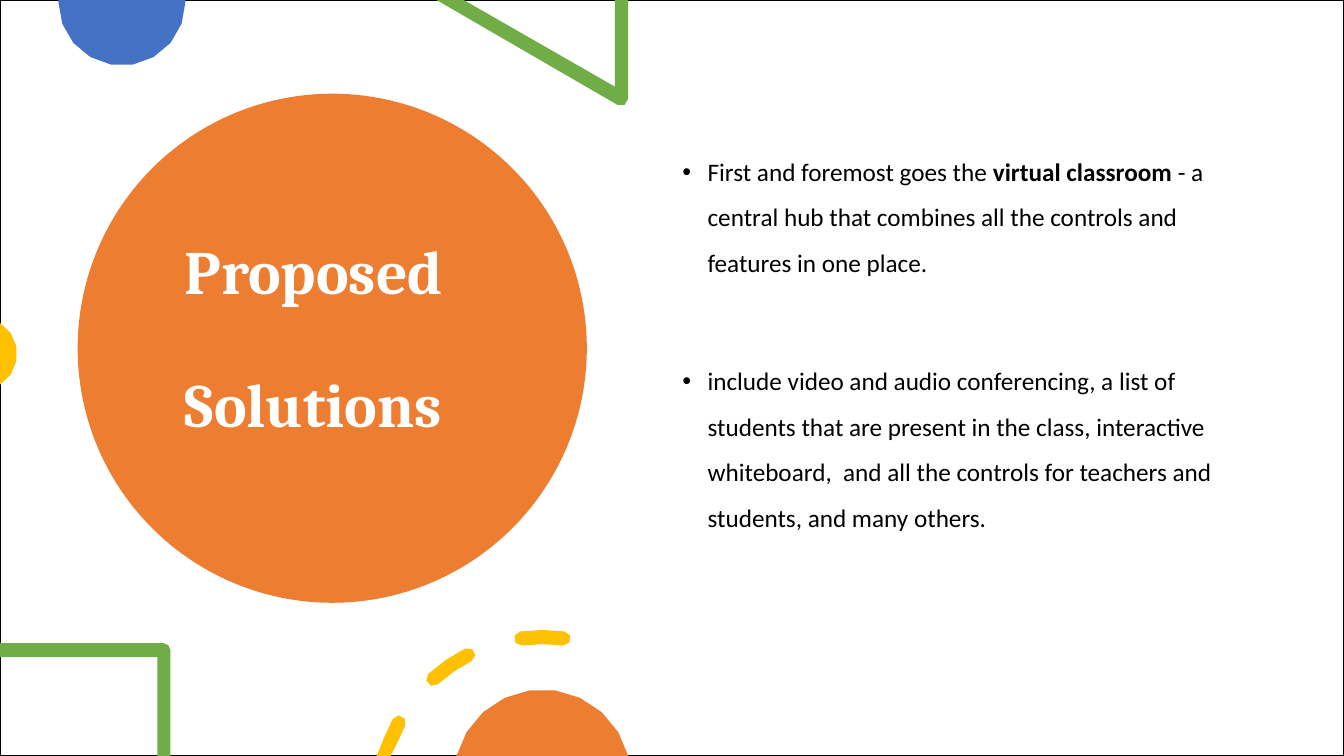
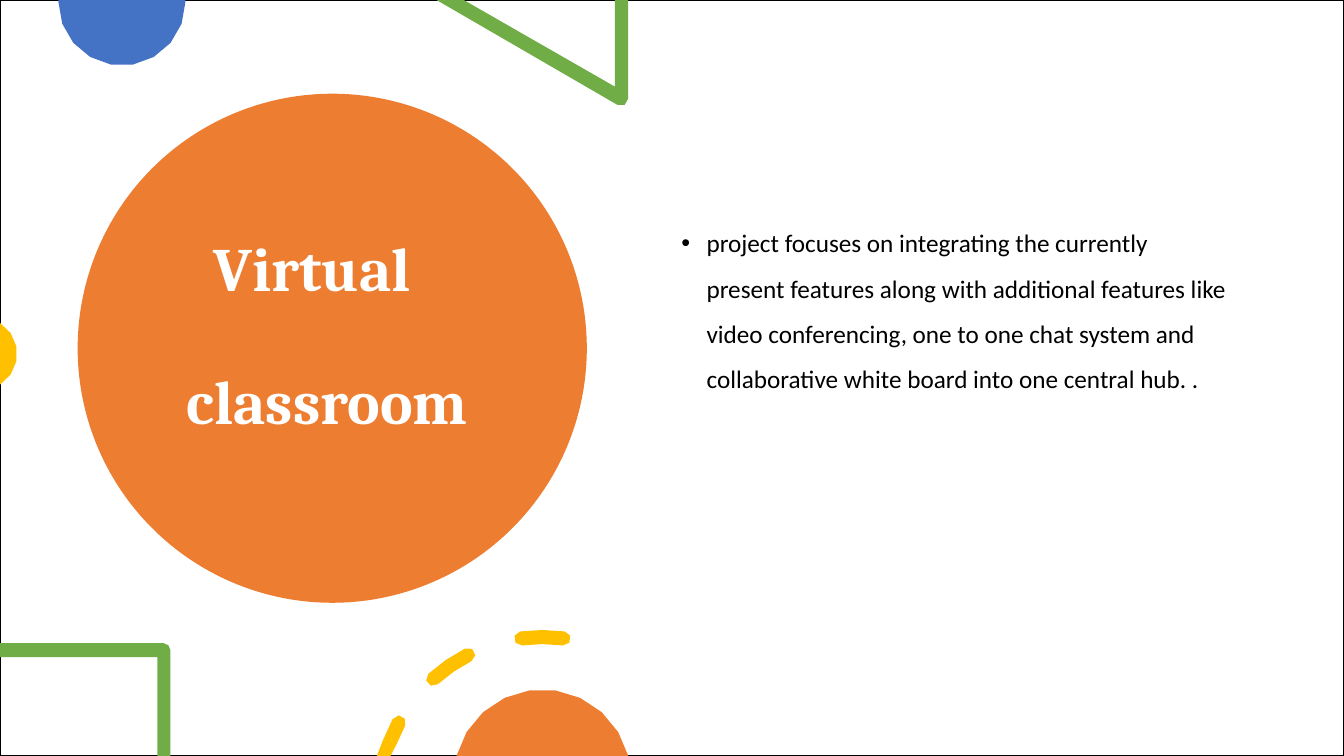
from math import acos, ceil, cos, degrees, radians, sin

from lxml import etree
from pptx import Presentation
from pptx.dml.color import RGBColor
from pptx.enum.shapes import MSO_SHAPE
from pptx.enum.text import MSO_ANCHOR, MSO_AUTO_SIZE, PP_ALIGN
from pptx.oxml.ns import qn
from pptx.util import Emu, Inches, Pt

RECTANGLE, OVAL = MSO_SHAPE.RECTANGLE, MSO_SHAPE.OVAL
MIDDLE, TOP = MSO_ANCHOR.MIDDLE, MSO_ANCHOR.TOP
LEFT, NO_FIT = PP_ALIGN.LEFT, MSO_AUTO_SIZE.NONE

WHITE = RGBColor(0xFF, 0xFF, 0xFF)
BLACK = RGBColor(0x00, 0x00, 0x00)
ORANGE = RGBColor(0xED, 0x7D, 0x31)
BLUE = RGBColor(0x44, 0x72, 0xC4)
GREEN = RGBColor(0x70, 0xAD, 0x47)
YELLOW = RGBColor(0xFF, 0xC0, 0x00)

# Each title line is (text, indent); each bullet is a list of (text, bold).
SLIDES = [
    {
        "title": [("Proposed", 0.14), ("Solutions", 0.14)],
        "title_box": (1.59, 1.16, 4.06, 4.45),
        "bullets": [
            [("First and foremost goes the\u00a0", False),
             ("virtual classroom ", True),
             ("- a central hub that combines all the controls and "
              "features in one place.", False)],
            [("include video and audio conferencing, a list of students that "
              "are present in the class, interactive whiteboard,  and all the "
              "controls for teachers and students, and many others.", False)],
        ],
        "bullets_box": (6.67, 1.35, 5.66, 5.59),
    },
    {
        "title": [("Virtual", 0.41), ("classroom", 0.14)],
        "title_box": (1.61, 1.13, 3.63, 4.45),
        "bullets": [
            [("project focuses on integrating the currently present features "
              "along with additional features like video conferencing, one to "
              "one chat system and collaborative white board into one central "
              "hub. .", False)],
        ],
        "bullets_box": (6.66, 2.06, 5.63, 2.3),
    },
]

WIDTH, HEIGHT = 13.33, 7.5
DISC = (0.77, 0.93, 5.05, 5.05)
STROKE = 0.14
CAP = STROKE / 2
FLATNESS = 0.01
RING_CENTRE, RING_RADIUS = (5.38, 7.94), 1.62
DASH_COUNT, DASH_START, DASH_SWEEP, DASH_PITCH = 3, 193.5, 15, 34.5


def polar(centre, radius, angle):
    """Return the point at an angle in degrees, clockwise from the right."""
    return (centre[0] + radius * cos(radians(angle)),
            centre[1] + radius * sin(radians(angle)))


def arc(centre, radius, start, end):
    """Return as few points on an arc as the flatness allows."""
    widest_step = 2 * degrees(acos(1 - FLATNESS / radius))
    steps = ceil(abs(end - start) / widest_step)
    return [polar(centre, radius, start + (end - start) * i / steps)
            for i in range(steps + 1)]


def ring_dash(start):
    """Return the outline of one round-ended dash, cut at the slide's foot."""
    end = start + DASH_SWEEP
    tail, head = (polar(RING_CENTRE, RING_RADIUS, angle) for angle in (start, end))
    outline = (arc(RING_CENTRE, RING_RADIUS + CAP, start, end)
               + arc(head, CAP, end, end + 180)[1:]
               + arc(RING_CENTRE, RING_RADIUS - CAP, end, start)[1:]
               + arc(tail, CAP, start + 180, start + 360)[1:-1])
    return [(x, min(y, HEIGHT)) for x, y in outline]


ORNAMENTS = [
    (BLUE, [[(1.84, 0), *arc((1.21, 0.02), 0.63, 0, 180), (0.58, 0)]]),
    (GREEN, [[(6.23, 0), (6.1, 0), (6.1, 0.86), (4.6, 0), (4.33, 0),
              *arc((6.16, 0.98), CAP, 120, 0)]]),
    (YELLOW, [arc((-0.19, 3.51), 0.36, -58, 58)]),
    (GREEN, [[(0, 6.38), *arc((1.62, 6.45), CAP, -90, 0), (1.69, HEIGHT),
              (1.56, HEIGHT), (1.56, 6.52), (0, 6.52)]]),
    (YELLOW, [ring_dash(DASH_START + i * DASH_PITCH) for i in range(DASH_COUNT)]),
    (ORANGE, [arc((5.38, 7.72), 0.88, 194.5, 345.5)]),
]


def paint(shape, fill, line=None):
    """Give a shape a flat fill and an optional 1 pt line."""
    shape.shadow.inherit = False
    shape.fill.solid()
    shape.fill.fore_color.rgb = fill
    if line is None:
        shape.line.fill.background()
    else:
        shape.line.color.rgb = line
        shape.line.width = Pt(1)


def add_preset(slide, preset, box, fill, line=None):
    """Add a painted preset shape."""
    paint(slide.shapes.add_shape(preset, *map(Inches, box)), fill, line)


def add_outline(slide, contours, fill):
    """Add one painted freeform made of closed contours."""
    builder = None
    for contour in contours:
        points = [(Inches(x), Inches(y)) for x, y in contour]
        if builder is None:
            builder = slide.shapes.build_freeform(*points[0], scale=1.0)
        else:
            builder.move_to(*points[0])
        builder.add_line_segments(points[1:], close=True)
    paint(builder.convert_to_shape(Emu(0), Emu(0)), fill)


def place(shape, box, anchor):
    """Position a text shape and return its wrapped frame."""
    shape.left, shape.top, shape.width, shape.height = map(Inches, box)
    frame = shape.text_frame
    frame.word_wrap = True
    frame.auto_size = NO_FIT
    frame.vertical_anchor = anchor
    return frame


def add_paragraph(frame, index, runs, *, font, size, color, spacing, gap,
                  margin, hanging=0, bullet=None):
    """Write (text, bold) runs as a paragraph, with a gap after the previous one."""
    paragraph = frame.add_paragraph() if index else frame.paragraphs[0]
    paragraph.alignment = LEFT
    paragraph.line_spacing = spacing
    paragraph.space_before = Pt(gap if index else 0)
    for text, bold in runs:
        run = paragraph.add_run()
        run.text = text
        run.font.name, run.font.size, run.font.bold = font, Pt(size), bold
        run.font.color.rgb = color
    properties = paragraph._p.get_or_add_pPr()
    properties.set("marL", str(Inches(margin)))
    properties.set("indent", str(Inches(-hanging)))
    if bullet:
        etree.SubElement(properties, qn("a:buFont")).set("typeface", "Arial")
        etree.SubElement(properties, qn("a:buChar")).set("char", bullet)


def build_slide(deck, content):
    """Build one slide: frame, disc with title, bullets and ornaments."""
    slide = deck.slides.add_slide(deck.slide_layouts[5])
    add_preset(slide, RECTANGLE, (0, 0, WIDTH, HEIGHT), WHITE, BLACK)
    add_preset(slide, OVAL, DISC, ORANGE)

    title = slide.shapes.title
    slide.shapes._spTree.append(title._element)
    frame = place(title, content["title_box"], MIDDLE)
    for index, (text, indent) in enumerate(content["title"]):
        add_paragraph(frame, index, [(text, True)], font="Cambria", size=44,
                      color=WHITE, spacing=0.9, gap=47.5, margin=indent)

    box = content["bullets_box"]
    frame = place(slide.shapes.add_textbox(*map(Inches, box)), box, TOP)
    for index, runs in enumerate(content["bullets"]):
        add_paragraph(frame, index, runs, font="Calibri", size=18, color=BLACK,
                      spacing=1.5, gap=52.5, margin=0.25, hanging=0.25, bullet="•")

    for color, contours in ORNAMENTS:
        add_outline(slide, contours, color)


deck = Presentation()
deck.slide_width, deck.slide_height = Inches(WIDTH), Inches(HEIGHT)
for content in SLIDES:
    build_slide(deck, content)
deck.save("out.pptx")
